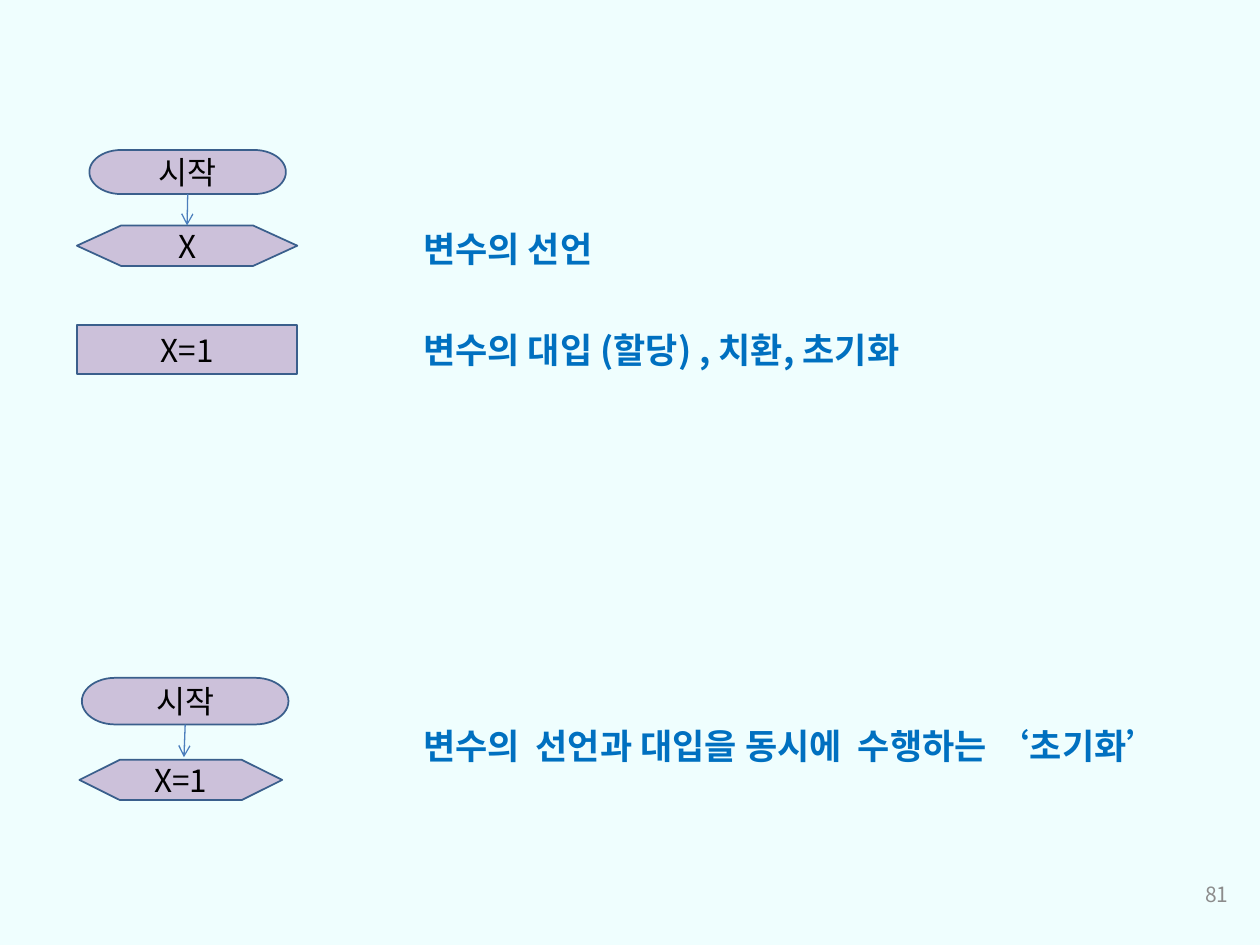
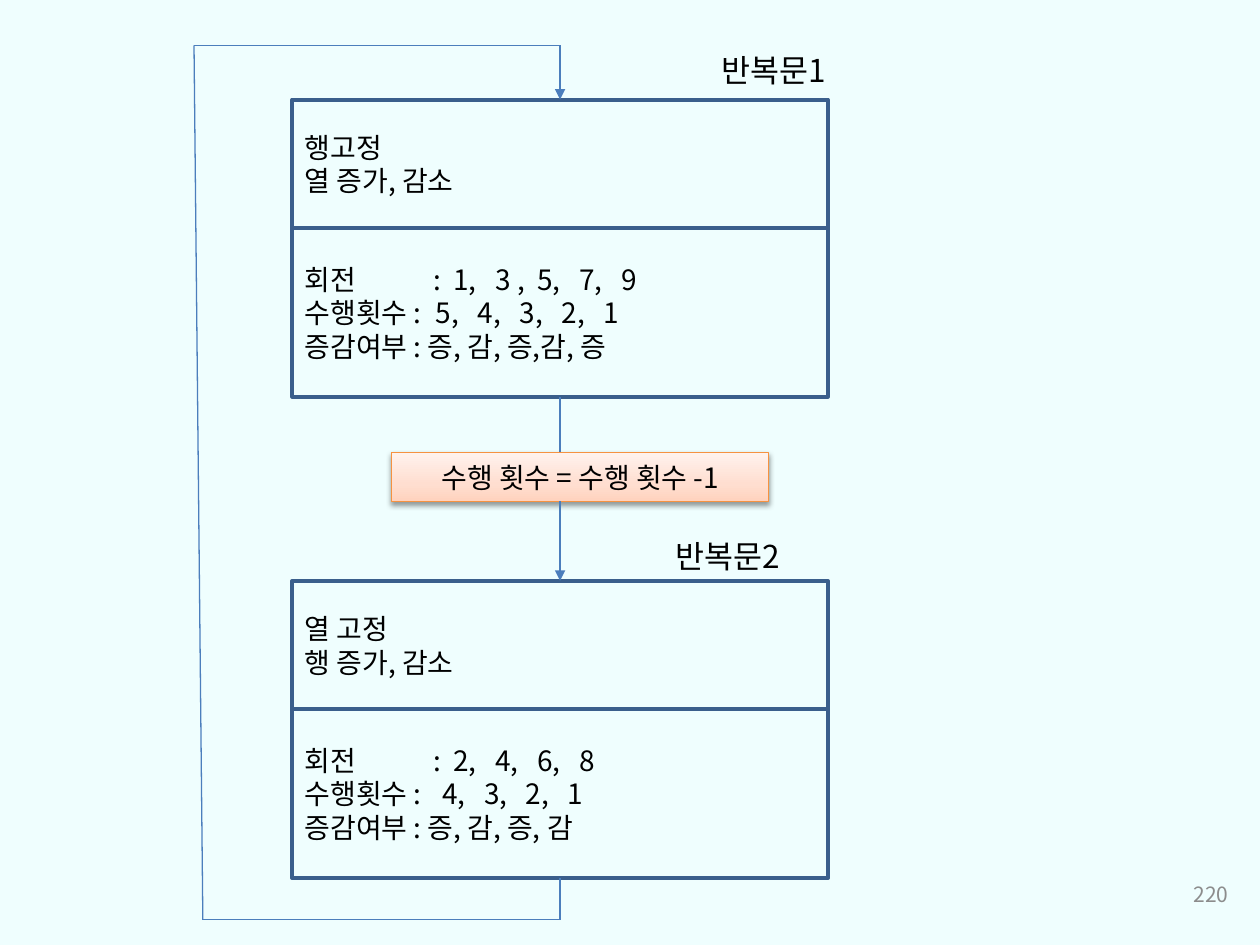
import copy
import itertools
import pptx
import pptx.util
import pptx.dml.color
import pptx.enum.shapes
import pptx.enum.text
import pptx.oxml.ns
import lxml.etree

Inches = pptx.util.Inches
Pt = pptx.util.Pt
qn = pptx.oxml.ns.qn
KIND = pptx.enum.shapes.MSO_SHAPE
ALIGN = pptx.enum.text.PP_ALIGN
MID = pptx.enum.text.MSO_ANCHOR.MIDDLE

THEME = {
    "font": "Noto Sans CJK KR",
    "back": "EFFEFE", "lilac": "CCC1DA", "edge": "3A5F8C", "arrow": "4B7EBC",
    "glow": [(0, "FFD2BD"), (0.35, "FFDED0"), (1, "FFF2ED")], "rim": "F69240",
    "note": {"size": 20, "color": "0070C0", "bold": True},
    "node": {"size": 18, "color": "000000"},
    "body": {"size": 16, "color": "000000"},
    "page": {"size": 12, "color": "8C8C8C"},
}

NOTES = [
    (1.76, "변수의 선언"),
    (2.56, "변수의 대입 (할당) , 치환, 초기화"),
    (5.70, "변수의  선언과 대입을 동시에  수행하는 ‘초기화’"),
]
STARTS = [
    {"oval": (0.71, 1.19, 1.56, 0.35), "hex": (0.61, 1.79, 1.75, 0.32), "text": "X", "tip": None},
    {"oval": (0.65, 5.38, 1.64, 0.37), "hex": (0.63, 6.03, 1.61, 0.32), "text": "X=1", "tip": (1.46, 6.01)},
]
ASSIGN = ((0.61, 2.58, 1.75, 0.39), "X=1")

STEP = 0.333
SPIN = [1.02] + [1.18 + STEP * i for i in range(5)]
COUNT = [1.04 + STEP * i for i in range(5)]
LATER = [1.09 + STEP * i for i in range(4)]
LOOPS = [
    {"title": "반복문1", "at": (5.63, 0.36), "top": 0.79,
     "rule": [("행고정", []), ("열 증가, 감소", [])],
     "turns": [("회전\t:\t1,\t3 ,\t5,\t7,\t9", SPIN),
               ("수행횟수 :\t5,\t4,\t3,\t2,\t1", COUNT),
               ("증감여부 : 증, 감, 증,감, 증", [])]},
    {"title": "반복문2", "at": (5.26, 4.21), "top": 4.61,
     "rule": [("열 고정", []), ("행 증가, 감소", [])],
     "turns": [("회전\t:\t2,\t4,\t6,\t8", SPIN),
               ("수행횟수 :\t4,\t3,\t2,\t1", LATER),
               ("증감여부 : 증, 감, 증, 감", [])]},
]
LEFT, WIDE, RULE, TURNS = 2.32, 4.25, 1.02, 1.34
AXIS = LEFT + WIDE / 2
CALL = ((3.11, 3.59, 2.99, 0.39), "수행 횟수 = 수행 횟수 -1")
BACK = [(AXIS, 7.3), (1.61, 7.3), (1.54, 0.36), (AXIS, 0.36)]


def rgb(code):
    return pptx.dml.color.RGBColor.from_string(code)


def style(item, **form):
    for key, val in form.items():
        setattr(item, key, val)


def sub(node, tag, **form):
    return lxml.etree.SubElement(node, qn(tag), form)


def write(shape, rows, look, align=ALIGN.LEFT, anchor=MID, wrap=True):
    frame = shape.text_frame
    style(frame, word_wrap=wrap, vertical_anchor=anchor)
    for i, (text, stops) in enumerate(rows):
        para = frame.paragraphs[0] if i == 0 else frame.add_paragraph()
        para.alignment = align
        run = para.add_run()
        run.text = text
        style(run.font, name=THEME["font"], size=Pt(look["size"]), bold=look.get("bold", False))
        run.font.color.rgb = rgb(look["color"])
        sub(run.font._element, "a:ea", typeface=THEME["font"])
        if stops:
            tabs = sub(para._p.get_or_add_pPr(), "a:tabLst")
            for stop in stops:
                sub(tabs, "a:tab", pos=str(int(Inches(stop))), algn="l")


def label(slide, spot, text, look, **form):
    box = slide.shapes.add_textbox(*map(Inches, spot))
    write(box, [(text, [])], look, **form)


def block(slide, kind, spot, rows, look, fill=None, edge=THEME["edge"], line=1, align=ALIGN.CENTER):
    shape = slide.shapes.add_shape(kind, *map(Inches, spot))
    shape.shadow.inherit = False
    if fill:
        shape.fill.solid()
        shape.fill.fore_color.rgb = rgb(fill)
    else:
        shape.fill.background()
    shape.line.color.rgb = rgb(edge)
    shape.line.width = Pt(line)
    write(shape, rows, look, align)
    return shape


def link(slide, start, end, tip=None, tail=None, head=None):
    line = slide.shapes.add_connector(
        pptx.enum.shapes.MSO_CONNECTOR.STRAIGHT, *map(Inches, start + end))
    if tail:
        line.begin_connect(tail, 2)
    if head:
        line.end_connect(head, 0)
    line.line.color.rgb = rgb(THEME["arrow"])
    line.line.width = Pt(0.75)
    if tip:
        sub(line.line._get_or_add_ln(), "a:tailEnd", type=tip)
    sub(line._element.spPr, "a:effectLst")


def glow(shape):
    shape.fill.gradient()
    shape.fill.gradient_angle = 90
    stops = shape._element.spPr.find(qn("a:gradFill")).find(qn("a:gsLst"))
    stops.append(copy.deepcopy(stops[0]))
    for stop, (place, code) in zip(shape.fill.gradient_stops, THEME["glow"]):
        stop.position = place
        stop.color.rgb = rgb(code)
    shade = sub(shape._element.spPr.find(qn("a:effectLst")), "a:outerShdw",
                blurRad=str(int(Pt(3.1))), dist=str(int(Pt(1.6))), dir="5400000", rotWithShape="0")
    sub(sub(shade, "a:srgbClr", val="000000"), "a:alpha", val="38000")


def sheet(deck, page):
    slide = deck.slides.add_slide(deck.slide_layouts[6])
    label(slide, (7.52, 6.9, 2.33, 0.4), page, THEME["page"], align=ALIGN.RIGHT)
    return slide


def declare(deck):
    slide = sheet(deck, "81")
    for top, text in NOTES:
        label(slide, (3.26, top, 6.5, 0.5), text, THEME["note"],
              anchor=pptx.enum.text.MSO_ANCHOR.TOP, wrap=False)
    node, lilac = THEME["node"], THEME["lilac"]
    spot, text = ASSIGN
    block(slide, KIND.FLOWCHART_PROCESS, spot, [(text, [])], node, lilac)
    for part in STARTS:
        six = block(slide, KIND.FLOWCHART_PREPARATION, part["hex"], [(part["text"], [])], node, lilac)
        oval = block(slide, KIND.FLOWCHART_TERMINATOR, part["oval"], [("시작", [])], node, lilac)
        end = part["tip"]
        link(slide, (0, 0), end or (0, 0), "arrow", oval, None if end else six)


def repeat(deck):
    slide = sheet(deck, "220")
    tops, ends = [], []
    for loop in LOOPS:
        top = loop["top"]
        pair = [
            block(slide, KIND.RECTANGLE, (LEFT, y, WIDE, high), loop[key], THEME["body"],
                  line=2.25, align=ALIGN.LEFT)
            for key, y, high in (("rule", top, RULE), ("turns", top + RULE, TURNS))]
        tops.append(pair[0])
        ends.append(pair[1])
        label(slide, loop["at"] + (1.26, 0.4), loop["title"], THEME["node"],
              anchor=pptx.enum.text.MSO_ANCHOR.TOP, wrap=False)
    spot, text = CALL
    link(slide, (AXIS, 3.15), (AXIS, spot[1]), tail=ends[0])
    glow(block(slide, KIND.RECTANGLE, spot, [(text, [])], THEME["body"],
               THEME["lilac"], THEME["rim"], 0.75))
    link(slide, (AXIS, spot[1] + spot[3]), (AXIS, 4.61), "triangle", head=tops[1])
    link(slide, (AXIS, 6.97), BACK[0], tail=ends[1])
    for start, end in itertools.pairwise(BACK):
        link(slide, start, end)
    link(slide, BACK[-1], (AXIS, 0.79), "triangle", head=tops[0])


def main():
    deck = pptx.Presentation()
    style(deck, slide_width=Inches(10), slide_height=Inches(7.5))
    fill = deck.slide_master.background.fill
    fill.solid()
    fill.fore_color.rgb = rgb(THEME["back"])
    declare(deck)
    repeat(deck)
    deck.save("out.pptx")


if __name__ == "__main__":
    main()
